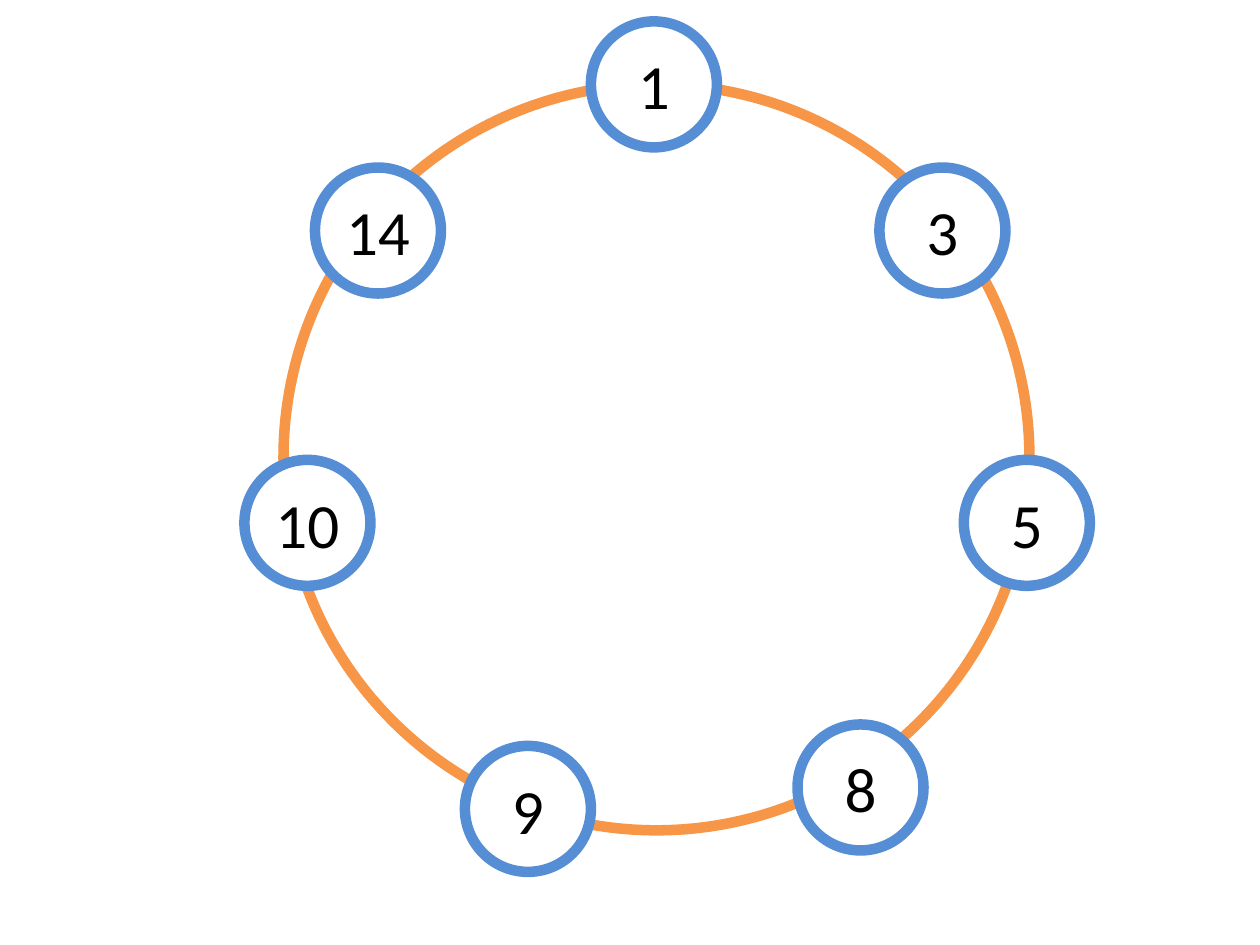
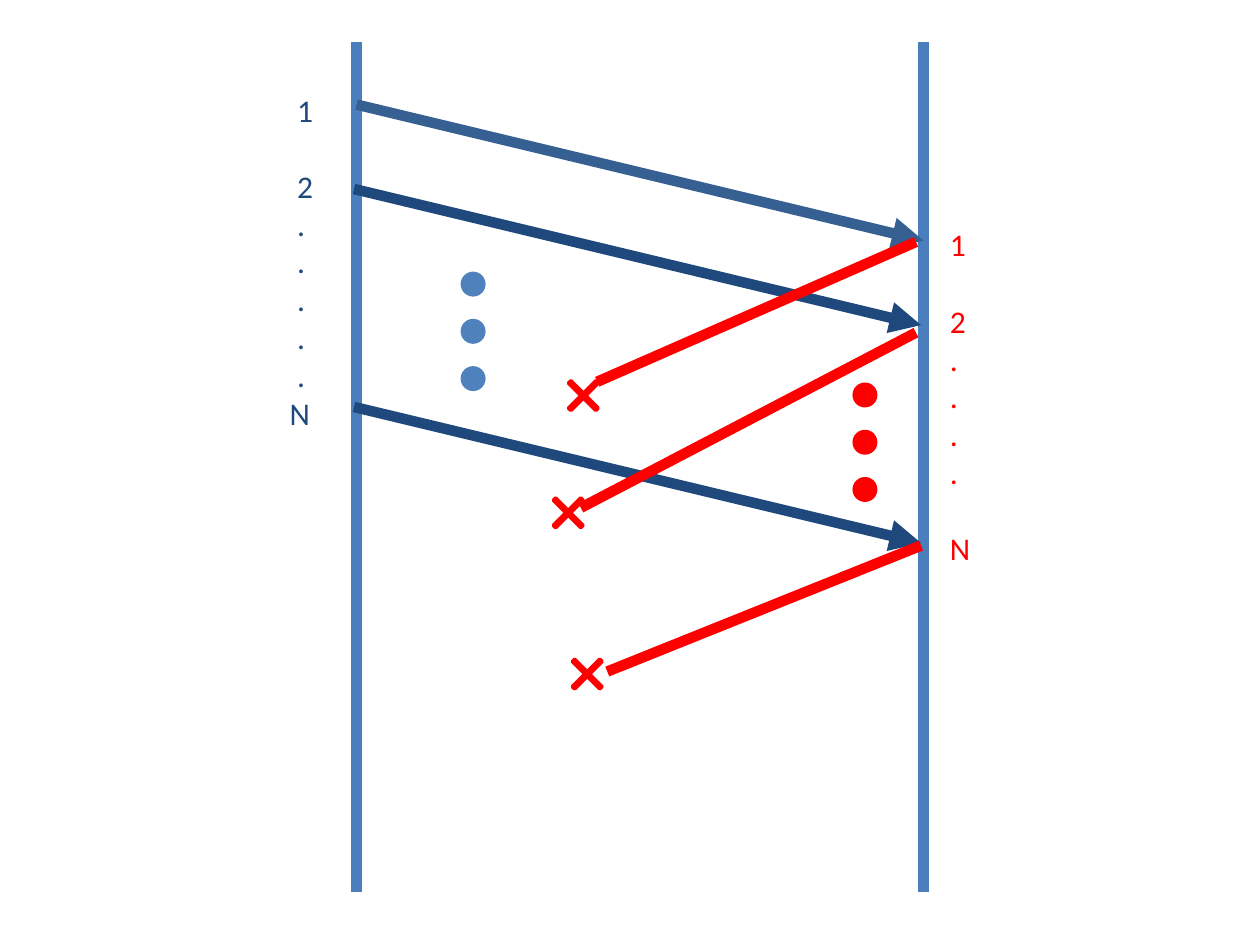
import pptx
import pptx.util
import pptx.dml.color
import pptx.enum.shapes
import pptx.enum.text
import pptx.oxml.ns
import lxml.etree

COLORS = {
    "white": "FFFFFF", "black": "000000", "ring": "F79646", "node": "558ED5",
    "lifeline": "4B7EBC", "first": "376092", "navy": "1F497D",
    "blue": "4F81BD", "red": "FF0000",
}
FONT = "Calibri"
HEAVY, THIN = 6, 2
LABEL_SIZE, LABEL_GAP = 18, 22

RING = (2.25, 0.67, 5.92)
NODE_SIZE = 1
NODES = [
    ("1", 4.69, 0.17), ("3", 6.98, 1.33), ("5", 7.65, 3.65), ("8", 6.33, 5.75),
    ("9", 3.69, 5.92), ("10", 1.94, 3.65), ("14", 2.5, 1.33),
]

LIFELINES = (2.83, 7.33)
LIFELINE_TOP, LIFELINE_BOTTOM = 0.33, 7.08
MESSAGE_RUN, MESSAGE_DROP = 4.5, 1.08
MESSAGES = [(2.83, 0.83, "first"), (2.81, 1.5, "navy"), (2.81, 3.23, "navy")]
LOST_REPLIES = [
    ((7.27, 1.92), (4.74, 3.03), (4.42, 2.93)),
    ((7.27, 2.64), (4.61, 4.03), (4.3, 3.86)),
    ((7.31, 4.33), (4.82, 5.33), (4.45, 5.14)),
]
CROSS_SIZE, CROSS_THICKNESS = 0.42, 0.061
DOT_SIZE, DOT_STEP, DOT_COUNT = 0.17, 0.375, 3
DOT_COLUMNS = [(3.67, 2.17, "blue"), (6.78, 3.05, "red")]
LABEL_BOX = (0.83, 2.83)
LABELS = [
    {"at": (1.92, 0.67), "color": "navy", "indents": {"N": 0.28}, "indent": 0.34,
     "lines": ["1", "2", ".", ".", ".", ".", ".", "N"], "gaps": {1}},
    {"at": (7.44, 1.74), "color": "red", "indents": {}, "indent": 0,
     "lines": ["1", "2", ".", ".", ".", ".", "N"], "gaps": {1, 6}},
]

inches = pptx.util.Inches
points = pptx.util.Pt
SHAPES = pptx.enum.shapes.MSO_SHAPE


def rgb(name):
    return pptx.dml.color.RGBColor.from_string(COLORS[name])


def apply(target, values):
    for name, value in values.items():
        setattr(target, name, value)


def set_line(line, color, width):
    line.color.rgb = rgb(color)
    line.width = points(width)


def write(paragraph, text, size, color):
    run = paragraph.add_run()
    run.text = text
    apply(run.font, {"name": FONT, "size": points(size)})
    run.font.color.rgb = rgb(color)


def add_figure(slide, kind, left, top, size, fill, line, width):
    shape = slide.shapes.add_shape(kind, *map(inches, (left, top, size, size)))
    shape.shadow.inherit = False
    shape.fill.solid()
    shape.fill.fore_color.rgb = rgb(fill)
    set_line(shape.line, line, width)
    return shape


def add_line(slide, start, end, color, arrow=False):
    connector = slide.shapes.add_connector(
        pptx.enum.shapes.MSO_CONNECTOR.STRAIGHT, *map(inches, (*start, *end)))
    set_line(connector.line, color, HEAVY)
    properties = connector._element.spPr
    if arrow:
        outline = properties.find(pptx.oxml.ns.qn("a:ln"))
        lxml.etree.SubElement(outline, pptx.oxml.ns.qn("a:tailEnd"), type="triangle")
    lxml.etree.SubElement(properties, pptx.oxml.ns.qn("a:effectLst"))


def add_labels(slide, labels):
    box = slide.shapes.add_textbox(*map(inches, (*labels["at"], *LABEL_BOX)))
    frame = box.text_frame
    apply(frame, {"word_wrap": True,
                  "auto_size": pptx.enum.text.MSO_AUTO_SIZE.SHAPE_TO_FIT_TEXT})
    for index, text in enumerate(labels["lines"]):
        paragraph = frame.add_paragraph() if index else frame.paragraphs[0]
        if index in labels["gaps"]:
            paragraph.space_before = points(LABEL_GAP)
        indent = labels["indents"].get(text, labels["indent"])
        paragraph._p.get_or_add_pPr().set("marL", str(int(inches(indent))))
        write(paragraph, text, LABEL_SIZE, labels["color"])


def build_ring(slide):
    add_figure(slide, SHAPES.OVAL, *RING, "white", "ring", HEAVY)
    for text, left, top in NODES:
        node = add_figure(slide, SHAPES.OVAL, left, top, NODE_SIZE, "white", "node", HEAVY)
        node.text_frame.vertical_anchor = pptx.enum.text.MSO_ANCHOR.MIDDLE
        paragraph = node.text_frame.paragraphs[0]
        paragraph.alignment = pptx.enum.text.PP_ALIGN.CENTER
        write(paragraph, text, 36, "black")


def build_sequence(slide):
    for x in LIFELINES:
        add_line(slide, (x, LIFELINE_TOP), (x, LIFELINE_BOTTOM), "lifeline")
    for x, y, color in MESSAGES:
        add_line(slide, (x, y), (x + MESSAGE_RUN, y + MESSAGE_DROP), color, arrow=True)
    for left, top, color in DOT_COLUMNS:
        for index in range(DOT_COUNT):
            add_figure(slide, SHAPES.OVAL, left, top + index * DOT_STEP, DOT_SIZE,
                       color, color, THIN)
    for start, end, corner in LOST_REPLIES:
        add_line(slide, start, end, "red")
        cross = add_figure(slide, SHAPES.MATH_MULTIPLY, *corner, CROSS_SIZE, "red", "red", THIN)
        cross.adjustments[0] = CROSS_THICKNESS
    for labels in LABELS:
        add_labels(slide, labels)


presentation = pptx.Presentation()
apply(presentation, {"slide_width": inches(10), "slide_height": inches(7.5)})
blank_layout = presentation.slide_layouts[6]
for build in (build_ring, build_sequence):
    build(presentation.slides.add_slide(blank_layout))
presentation.save("out.pptx")
